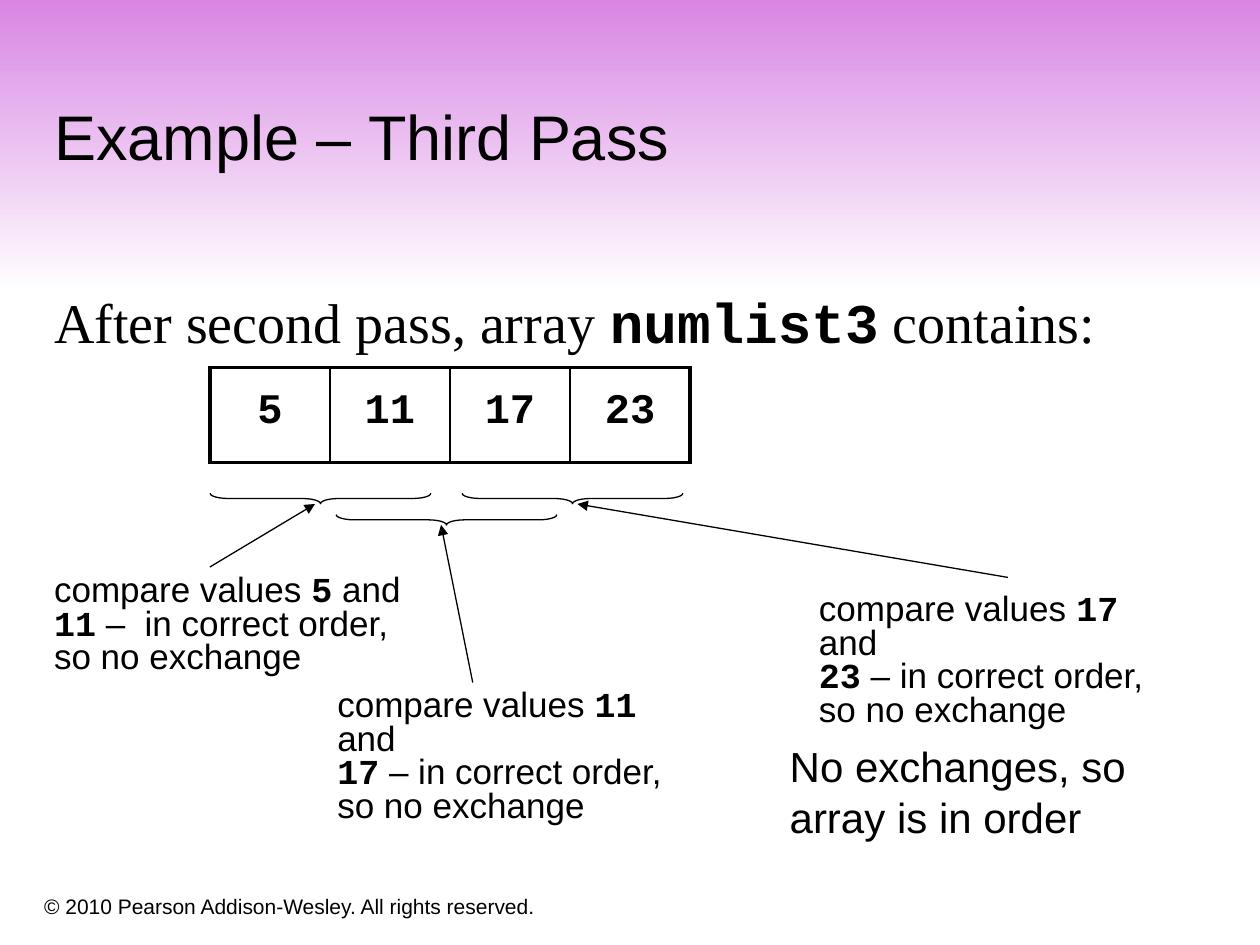
"""Build the slide on the third pass of a bubble sort."""
from dataclasses import dataclass
from lxml.etree import SubElement
from pptx import Presentation
from pptx.dml.color import RGBColor
from pptx.enum.shapes import MSO_CONNECTOR, MSO_SHAPE
from pptx.enum.text import MSO_ANCHOR, PP_ALIGN
from pptx.oxml.ns import qn
from pptx.util import Cm, Pt


@dataclass(frozen=True)
class Theme:
    ink: RGBColor = RGBColor(0, 0, 0)
    top: RGBColor = RGBColor(0xD8, 0x85, 0xE3)
    page: RGBColor = RGBColor(255, 255, 255)
    sans: str = "Arial"
    serif: str = "Times New Roman"
    mono: str = "Courier New"
    title: int = 36
    lead: int = 32
    large: int = 24
    note: int = 20
    small: int = 12
    thin: float = 0.75
    inner: float = 1
    outer: float = 2.25


theme = Theme()


def write(frame, lines, size, face=theme.sans, space=None):
    """Fill a frame, setting words between backticks in bold code type."""
    frame.word_wrap = True
    for row, line in enumerate(lines):
        para = frame.add_paragraph() if row else frame.paragraphs[0]
        para.line_spacing = space
        para.alignment = PP_ALIGN.LEFT
        for part, words in enumerate(line.split("`")):
            if words:
                run = para.add_run()
                run.text = words
                code = part % 2 == 1
                run.font.name = theme.mono if code else face
                run.font.bold = code
                run.font.size = Pt(size)
                run.font.color.rgb = theme.ink


def edge(cell, side, width):
    """Draw one side of a cell."""
    line = SubElement(cell._tc.get_or_add_tcPr(), qn(f"a:ln{side}"), w=str(Pt(width)))
    fill = SubElement(line, qn("a:solidFill"))
    SubElement(fill, qn("a:srgbClr"), val=str(theme.ink))


deck = Presentation()
deck.slide_width, deck.slide_height = Cm(25.4), Cm(19.05)
slide = deck.slides.add_slide(deck.slide_layouts[5])
shapes = slide.shapes

band = shapes.add_shape(MSO_SHAPE.PENTAGON, 0, Cm(-0.03), Cm(25.4), Cm(5.92))
band.adjustments[0] = 0
band.shadow.inherit = False
band.line.fill.background()
band.fill.gradient()
band.fill.gradient_angle = 270
for stop, shade, place in zip(band.fill.gradient_stops, (theme.top, theme.page), (0, 1)):
    stop.color.rgb = shade
    stop.position = place
shapes._spTree.insert(2, band._element)

title = shapes.title
title.left, title.top, title.width, title.height = Cm(0.84), Cm(0.84), Cm(23.93), Cm(2.77)
title.text_frame.vertical_anchor = MSO_ANCHOR.BOTTOM
write(title.text_frame, ["Example – Third Pass"], theme.title)

lead = shapes.add_textbox(Cm(0.84), Cm(5.51), Cm(23.5), Cm(11.43)).text_frame
lead.margin_top, lead.margin_right = Cm(0.28), 0
write(lead, ["After second pass, array `numlist3` contains:"], theme.lead, theme.serif)

values = ["5", "11", "17", "23"]
last = len(values) - 1
grid = shapes.add_table(1, len(values), Cm(4.23), Cm(7.41), Cm(9.68), Cm(1.91)).table
grid.first_row = grid.horz_banding = False
for col, value in enumerate(values):
    cell = grid.cell(0, col)
    cell.text_frame.text = value
    para = cell.text_frame.paragraphs[0]
    para.alignment = PP_ALIGN.CENTER
    para.line_spacing = 1.3
    font = para.runs[0].font
    font.name, font.size, font.bold = theme.mono, Pt(theme.large), True
    font.color.rgb = theme.ink
    edge(cell, "L", theme.inner if col else theme.outer)
    edge(cell, "R", theme.inner if col < last else theme.outer)
    edge(cell, "T", theme.outer)
    edge(cell, "B", theme.outer)
    cell.fill.background()

wide, deep = 4.45, 0.21
for mid, high in [(6.46, 10.05), (9.0, 10.48), (11.54, 10.05)]:
    brace = shapes.add_shape(MSO_SHAPE.RIGHT_BRACE, Cm(mid - deep / 2),
                             Cm(high - wide / 2), Cm(deep), Cm(wide))
    brace.rotation = 90
    brace.adjustments[0], brace.adjustments[1] = 1.75, 0.5
    brace.shadow.inherit = False
    brace.fill.background()
    brace.line.color.rgb = theme.ink
    brace.line.width = Pt(theme.thin)

for ends in [(4.23, 11.43, 6.35, 10.16), (9.53, 13.76, 8.89, 10.58),
             (20.32, 11.64, 11.64, 10.16)]:
    arrow = shapes.add_connector(MSO_CONNECTOR.STRAIGHT, *map(Cm, ends))
    arrow.line.color.rgb = theme.ink
    arrow.line.width = Pt(theme.thin)
    SubElement(arrow.line._get_or_add_ln(), qn("a:tailEnd"), type="triangle")
    SubElement(arrow._element.spPr, qn("a:effectLst"))

for left, top, one, two, gap in [(0.84, 11.48, "5", "11", "  "),
                                 (6.55, 13.8, "11", "17", " "),
                                 (16.26, 11.86, "17", "23", " ")]:
    note = shapes.add_textbox(Cm(left), Cm(top), Cm(7.7), Cm(2.29))
    write(note.text_frame, [f"compare values `{one}` and",
                            f"`{two}` –{gap}in correct order,",
                            "so no exchange"], theme.note, space=0.8)

end = shapes.add_textbox(Cm(15.67), Cm(14.81), Cm(7.52), Cm(2.29))
write(end.text_frame, ["No exchanges, so", "array is in order"], theme.large)

foot = shapes.add_textbox(Cm(0.64), Cm(17.58), Cm(15.44), Cm(1.07))
foot.text_frame.vertical_anchor = MSO_ANCHOR.BOTTOM
write(foot.text_frame, ["© 2010 Pearson Addison-Wesley. All rights reserved."], theme.small)

deck.save("out.pptx")
